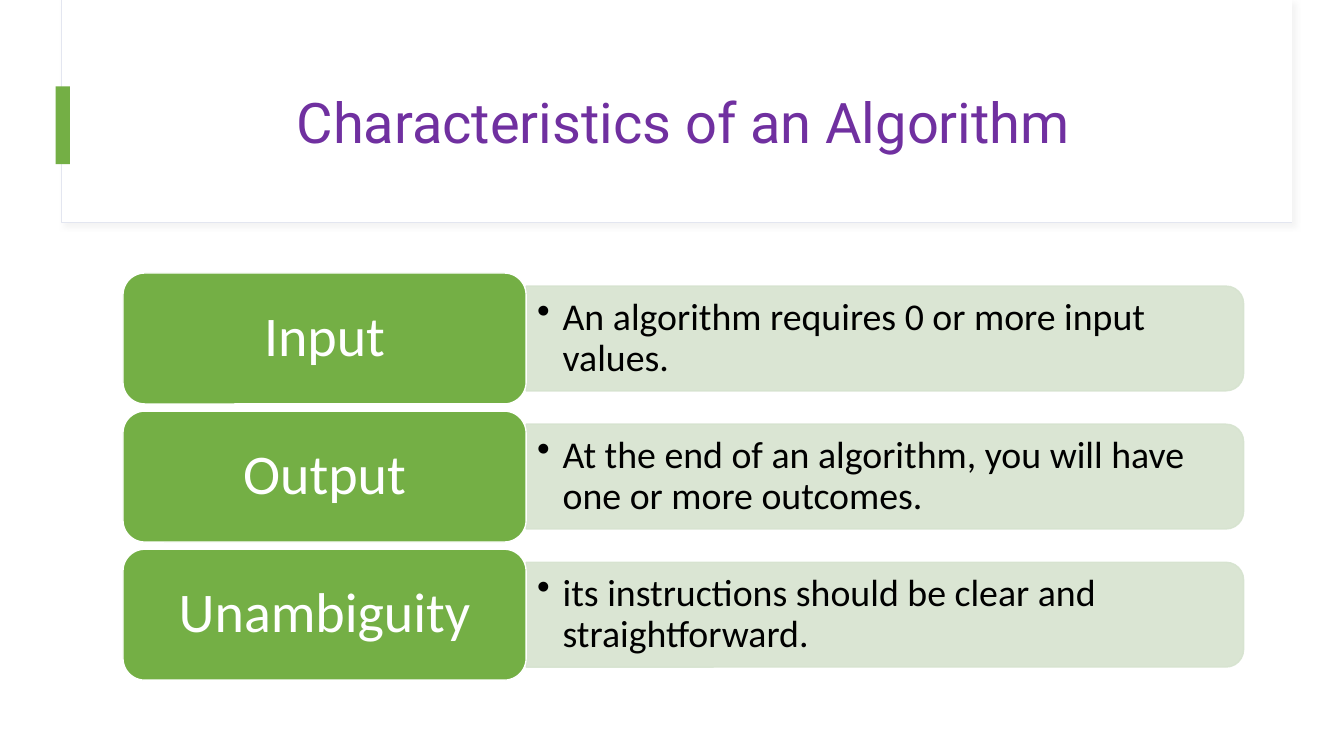
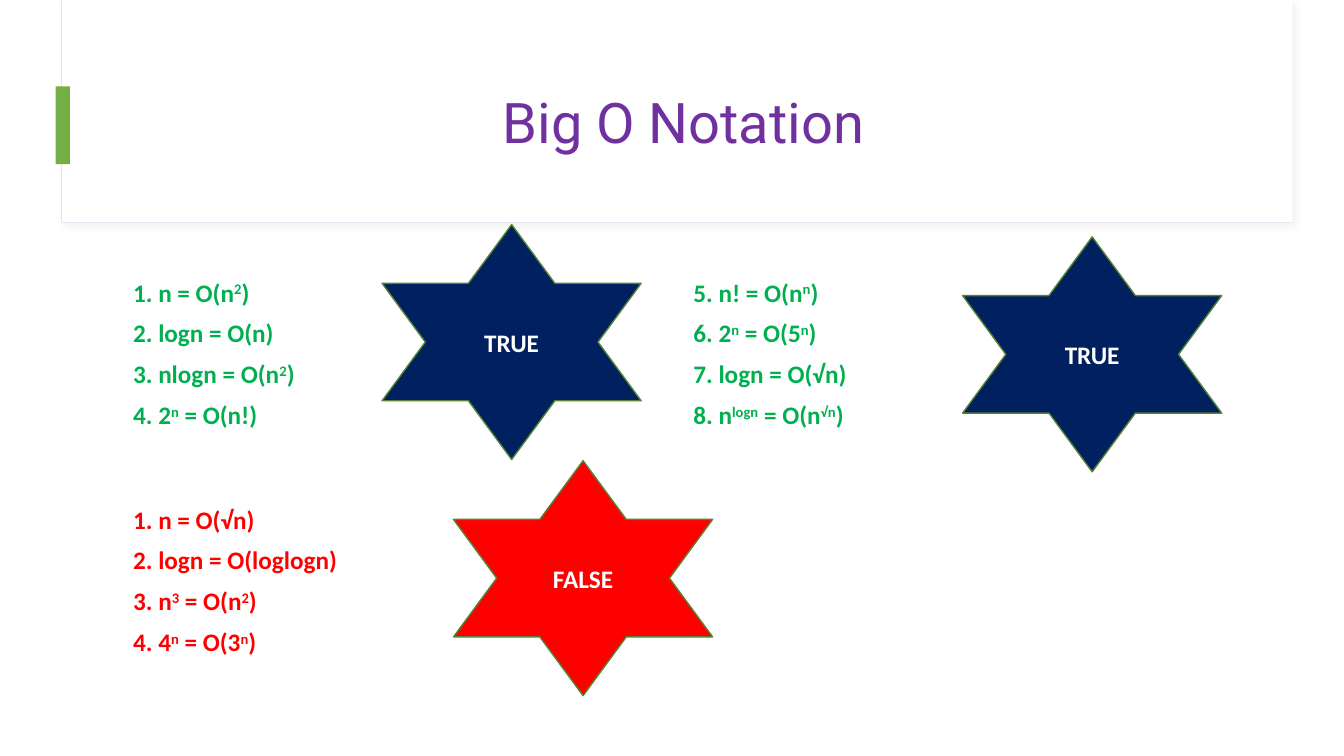
from lxml import etree
from pptx import Presentation
from pptx.dml.color import RGBColor
from pptx.enum.shapes import MSO_SHAPE
from pptx.enum.text import MSO_ANCHOR, PP_ALIGN
from pptx.oxml import parse_xml
from pptx.oxml.ns import qn
from pptx.util import Cm, Pt

RECT, ROUND = MSO_SHAPE.RECTANGLE, MSO_SHAPE.ROUNDED_RECTANGLE
TAB, STAR = MSO_SHAPE.ROUND_2_SAME_RECTANGLE, MSO_SHAPE.STAR_6_POINT
MIDDLE, CENTER = MSO_ANCHOR.MIDDLE, PP_ALIGN.CENTER

WHITE = RGBColor(0xFF, 0xFF, 0xFF)
BLACK = RGBColor(0, 0, 0)
GREEN = RGBColor(0x74, 0xAF, 0x45)
PALE = RGBColor(0xD6, 0xE3, 0xCF)
EDGE = RGBColor(0xE3, 0xE6, 0xF0)
PURPLE = RGBColor(0x70, 0x30, 0xA0)
NAVY = RGBColor(0, 0x20, 0x60)
RED = RGBColor(0xFF, 0, 0)
LEAF = RGBColor(0, 0xB0, 0x50)
OLIVE = RGBColor(0x56, 0x81, 0x33)

BODY, HEAD = "Calibri", "Roboto"
LEFT, WIDTH = 3.1, 28.24  # content column, cm

SHADOW = (
    '<a:effectLst xmlns:a="http://schemas.openxmlformats.org/drawingml/2006/main">'
    '<a:outerShdw blurRad="50800" dist="38100" dir="2700000" algn="tl" rotWithShape="0">'
    '<a:srgbClr val="D9D9D9"><a:alpha val="30000"/></a:srgbClr>'
    '</a:outerShdw></a:effectLst>')

TRAITS = [
    ("Input", "An algorithm requires 0 or more input values."),
    ("Output", "At the end of an algorithm, you will have one or more outcomes."),
    ("Unambiguity", "its instructions should be clear and straightforward."),
]

# Text between a pair of carets is raised
TRUE_ROWS = [
    ("1. n = O(n^2^)", "5. n! = O(n^n^)"),
    ("2. logn = O(n)", "6. 2^n^ = O(5^n^)"),
    ("3. nlogn = O(n^2^)", "7. logn = O(√n)"),
    ("4. 2^n^ = O(n!)", "8. n^logn^ = O(n^√n^)"),
]
FALSE_ROWS = [
    ("1. n = O(√n)", ""),
    ("2. logn = O(loglogn)", ""),
    ("3. n^3^ = O(n^2^)", ""),
    ("4. 4^n^ = O(3^n^)", ""),
]


def style(para, size, color, name=BODY, bold=False):
    font = para.font
    font.size, font.name, font.bold = Pt(size), name, bold
    font.color.rgb = color


def draw(slide, kind, box, fill, line=None, width=1):
    shape = slide.shapes.add_shape(kind, *map(Cm, box))
    shape.shadow.inherit = False
    shape.fill.solid()
    shape.fill.fore_color.rgb = fill
    if line is None:
        shape.line.fill.background()
    else:
        shape.line.color.rgb = line
        shape.line.width = Pt(width)
    return shape


def write(shape, text, size, color, bold=False):
    """Put one centred line in a shape."""
    frame = shape.text_frame
    frame.word_wrap = True
    frame.vertical_anchor = MIDDLE
    para = frame.paragraphs[0]
    para.text = text
    para.alignment = CENTER
    style(para, size, color, bold=bold)
    return para


def fade(shape, share):
    """Make fill and outline partly transparent."""
    for node in shape._element.spPr.iter(qn("a:srgbClr")):
        etree.SubElement(node, qn("a:alpha")).set("val", str(share * 1000))


def add_band(slide, layout):
    """Build the title band and hand it to the layout."""
    card = draw(slide, RECT, (1.55, 0, 31.01, 5.61), WHITE, EDGE, 0.75)
    props = card._element.spPr
    props.replace(props.find(qn("a:effectLst")), parse_xml(SHADOW))
    face = draw(slide, RECT, (1.57, 0, 30.99, 5.59), WHITE)
    mark = draw(slide, RECT, (1.4, 2.18, 0.36, 1.96), GREEN)
    for spot, part in enumerate((card, face, mark), 2):
        layout.shapes._spTree.insert(spot, part._element)


def add_title(slide, text):
    title = slide.shapes.title
    title.left, title.top = Cm(LEFT), Cm(1.52)
    title.width, title.height = Cm(WIDTH), Cm(3.28)
    para = write(title, text, 40, PURPLE)
    para.line_spacing = 0.9
    para.font.name = HEAD


def add_trait(slide, box, name, text):
    """One row: pale bar with a bullet, green label at its left."""
    x, y, w, h = box
    label, tall = 10.16, 2.64
    wide, start = w - label, x + label
    mid = y + h / 2

    # The bar is upright before its quarter turn
    bar = draw(slide, TAB, (start + (wide - tall) / 2, mid - wide / 2, tall, wide),
               PALE, PALE)
    bar.rotation = 90
    fade(bar, 90)

    note = slide.shapes.add_textbox(Cm(start), Cm(mid - 1.19), Cm(wide - 0.13), Cm(2.38))
    frame = note.text_frame
    frame.word_wrap = True
    frame.vertical_anchor = MIDDLE
    frame.margin_left = frame.margin_right = Cm(0.28)
    frame.margin_top = frame.margin_bottom = Cm(0.15)
    para = frame.paragraphs[0]
    para.text = text
    para.line_spacing = 0.9
    props = para._p.get_or_add_pPr()
    props.set("marL", str(Cm(0.64)))
    props.set("indent", str(-Cm(0.64)))
    etree.SubElement(props, qn("a:buChar")).set("char", "•")
    style(para, 27, BLACK)

    tile = draw(slide, ROUND, (x, y, label, h), GREEN, WHITE)
    write(tile, name, 40, WHITE).line_spacing = 0.9


def add_list(slide, top, rows, color):
    """Plain two-column table of formulas."""
    high = 1.03
    table = slide.shapes.add_table(
        len(rows), 2, Cm(LEFT), Cm(top), Cm(WIDTH), Cm(high * len(rows))).table
    table.first_row = table.horz_banding = False
    for r, row in enumerate(rows):
        table.rows[r].height = Cm(high)
        for c, text in enumerate(row):
            cell = table.cell(r, c)
            cell.fill.background()
            para = cell.text_frame.paragraphs[0]
            style(para, 18, color, bold=True)
            for k, part in enumerate(text.split("^")):
                if part:
                    run = para.add_run()
                    run.text = part
                    if k % 2:
                        run.font._element.set("baseline", "30000")


def add_star(slide, x, y, text, fill):
    star = draw(slide, STAR, (x, y, 6.53, 5.92), fill, OLIVE)
    write(star, text, 18, WHITE, bold=True)


def traits_slide(slide):
    add_title(slide, "Characteristics of an Algorithm")
    for k, (name, text) in enumerate(TRAITS):
        add_trait(slide, (LEFT, 6.88 + 3.48 * k, WIDTH, 3.3), name, text)


def big_o_slide(slide):
    add_title(slide, "Big O Notation")
    add_list(slide, 6.88, TRUE_ROWS, LEAF)
    add_list(slide, 12.6, FALSE_ROWS, RED)
    add_star(slide, 24.26, 5.97, "TRUE", NAVY)
    add_star(slide, 9.63, 5.66, "TRUE", NAVY)
    add_star(slide, 11.43, 11.61, "FALSE", RED)


def main():
    deck = Presentation()
    deck.slide_width, deck.slide_height = Cm(33.87), Cm(19.05)
    layout = deck.slide_layouts[5]
    first, second = (deck.slides.add_slide(layout) for _ in range(2))
    add_band(first, layout)
    traits_slide(first)
    big_o_slide(second)
    deck.save("out.pptx")


if __name__ == "__main__":
    main()
